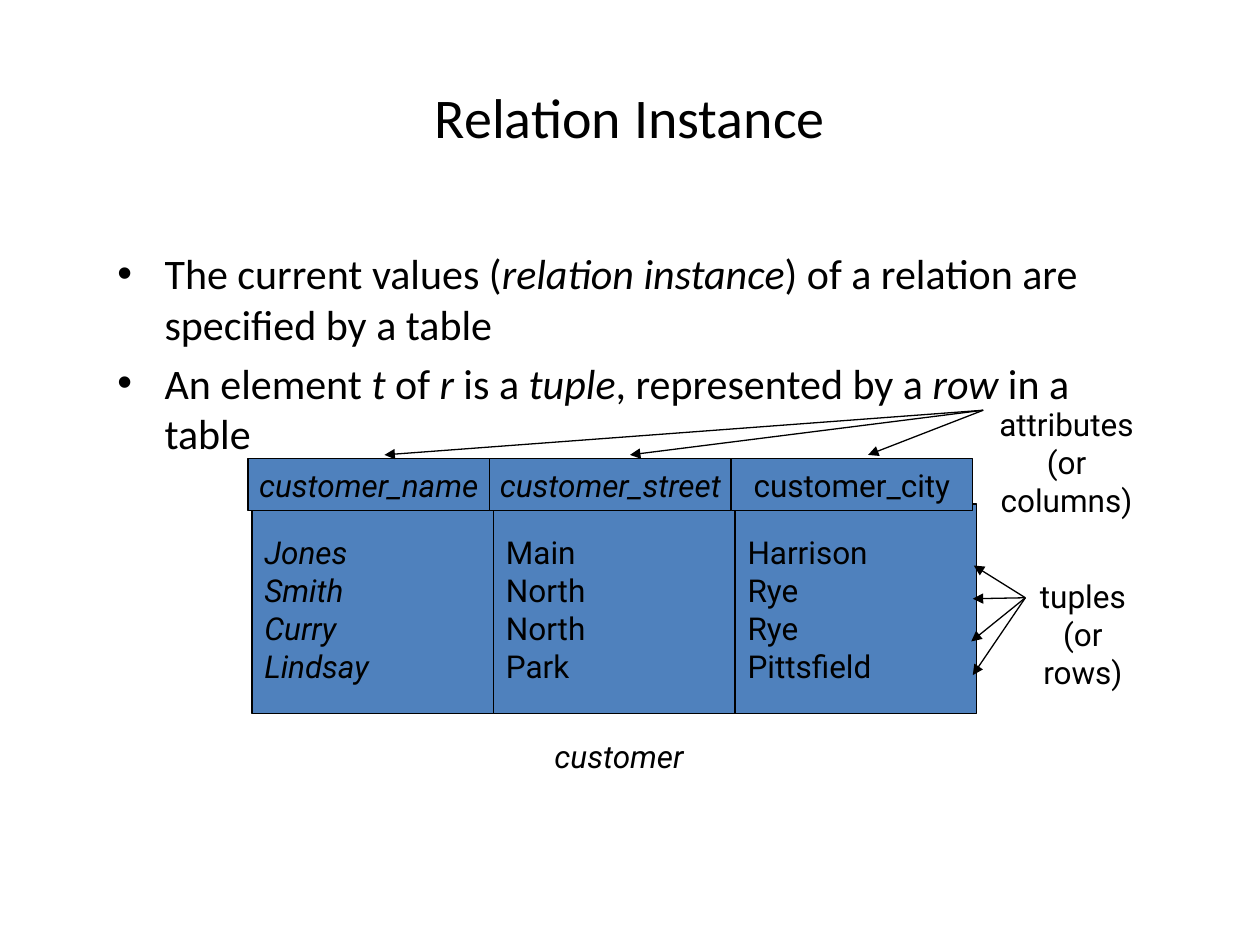
from lxml.etree import SubElement
from pptx import Presentation
from pptx.dml.color import RGBColor
from pptx.enum.shapes import MSO_CONNECTOR as Connector, MSO_SHAPE as Shape
from pptx.enum.text import MSO_ANCHOR as Anchor, MSO_AUTO_SIZE as AutoSize, PP_ALIGN as Align
from pptx.oxml.ns import qn
from pptx.util import Cm, Pt

BLACK = RGBColor(0x00, 0x00, 0x00)
BLUE = RGBColor(0x4F, 0x81, 0xBD)

COLUMN_WIDTH = 4.87
COLUMNS = [
    ("customer_name", True, ["Jones", "Smith", "Curry", "Lindsay"], True),
    ("customer_street", True, ["Main", "North", "North", "Park"], False),
    ("customer_city", False, ["Harrison", "Rye", "Rye", "Pittsfield"], False),
]
BULLETS = [
    [("The current values (", False), ("relation instance", True),
     (") of a relation are specified by a table", False)],
    [("An element ", False), ("t", True), (" of ", False), ("r", True),
     (" is a ", False), ("tuple", True), (", represented by a ", False),
     ("row ", True), ("in a table", False)],
]
ATTRIBUTES_START = (19.82, 8.27)
ATTRIBUTES_ENDS = [(7.75, 9.17), (12.7, 9.17), (17.5, 9.17)]
TUPLES_START = (20.67, 12.05)
TUPLES_ENDS = [(19.63, 11.4), (19.61, 12.07), (19.58, 12.93), (19.61, 13.61)]


def write_text(frame, paragraphs, size=18, font="Roboto", align=Align.LEFT,
               anchor=Anchor.MIDDLE, wrap=True):
    """Fill a frame with paragraphs, each a list of (text, italic) runs."""
    frame.word_wrap = wrap
    frame.vertical_anchor = anchor
    for index, runs in enumerate(paragraphs):
        paragraph = frame.add_paragraph() if index else frame.paragraphs[0]
        paragraph.alignment = align
        for text, italic in runs:
            run = paragraph.add_run()
            run.text = text
            run.font.size = Pt(size)
            run.font.name = font
            run.font.italic = italic
            run.font.color.rgb = BLACK


def place(shape, left, top, width, height):
    shape.left, shape.top = Cm(left), Cm(top)
    shape.width, shape.height = Cm(width), Cm(height)


def add_box(slide, left, top, height, paragraphs, **text_format):
    box = slide.shapes.add_shape(Shape.RECTANGLE, Cm(left), Cm(top),
                                 Cm(COLUMN_WIDTH), Cm(height))
    box.shadow.inherit = False
    box.fill.solid()
    box.fill.fore_color.rgb = BLUE
    box.line.color.rgb = BLACK
    box.line.width = Pt(0.75)
    write_text(box.text_frame, paragraphs, **text_format)


def add_label(slide, left, top, width, height, lines, italic=False, margin=0.38,
              **text_format):
    label = slide.shapes.add_textbox(Cm(left), Cm(top), Cm(width), Cm(height))
    frame = label.text_frame
    frame.auto_size = AutoSize.SHAPE_TO_FIT_TEXT
    frame.margin_left = frame.margin_right = Cm(margin)
    write_text(frame, [[(line, italic)] for line in lines],
               align=Align.CENTER, **text_format)


def add_arrows(slide, start, ends):
    """Draw one arrow from the shared start to each end."""
    for end in ends:
        arrow = slide.shapes.add_connector(Connector.STRAIGHT,
                                           *(Cm(value) for value in start + end))
        arrow.line.color.rgb = BLACK
        arrow.line.width = Pt(0.75)
        SubElement(arrow.line._get_or_add_ln(), qn("a:tailEnd"), type="triangle")
        SubElement(arrow._element.spPr, qn("a:effectLst"))


def main():
    presentation = Presentation()
    presentation.slide_width, presentation.slide_height = Cm(25.4), Cm(19.05)
    slide = presentation.slides.add_slide(presentation.slide_layouts[1])

    title, body = slide.placeholders
    place(title, 1.27, 0.76, 22.86, 3.18)
    write_text(title.text_frame, [[("Relation Instance", False)]],
               size=32, font="Calibri", align=Align.CENTER)
    place(body, 2.11, 4.87, 20.57, 5.49)
    write_text(body.text_frame, BULLETS, size=24, font="Calibri", anchor=Anchor.TOP)

    for index, (name, name_italic, values, values_italic) in enumerate(COLUMNS):
        offset = index * COLUMN_WIDTH
        add_box(slide, 5.08 + offset, 10.16, 4.23,
                [[(value, values_italic)] for value in values])
        add_box(slide, 5 + offset, 9.24, 1.06, [[(name, name_italic)]],
                align=Align.CENTER, wrap=False)

    add_label(slide, 10.92, 14.73, 3.12, 1.02, ["customer"],
              italic=True, margin=0.25, wrap=False)
    add_label(slide, 19.48, 8.05, 4.04, 1.78, ["attributes", "(or columns)"],
              anchor=Anchor.TOP)
    add_arrows(slide, ATTRIBUTES_START, ATTRIBUTES_ENDS)
    add_label(slide, 20.32, 11.51, 3.02, 1.78, ["tuples", "(or rows)"],
              anchor=Anchor.TOP)
    add_arrows(slide, TUPLES_START, TUPLES_ENDS)

    presentation.save("out.pptx")


if __name__ == "__main__":
    main()
